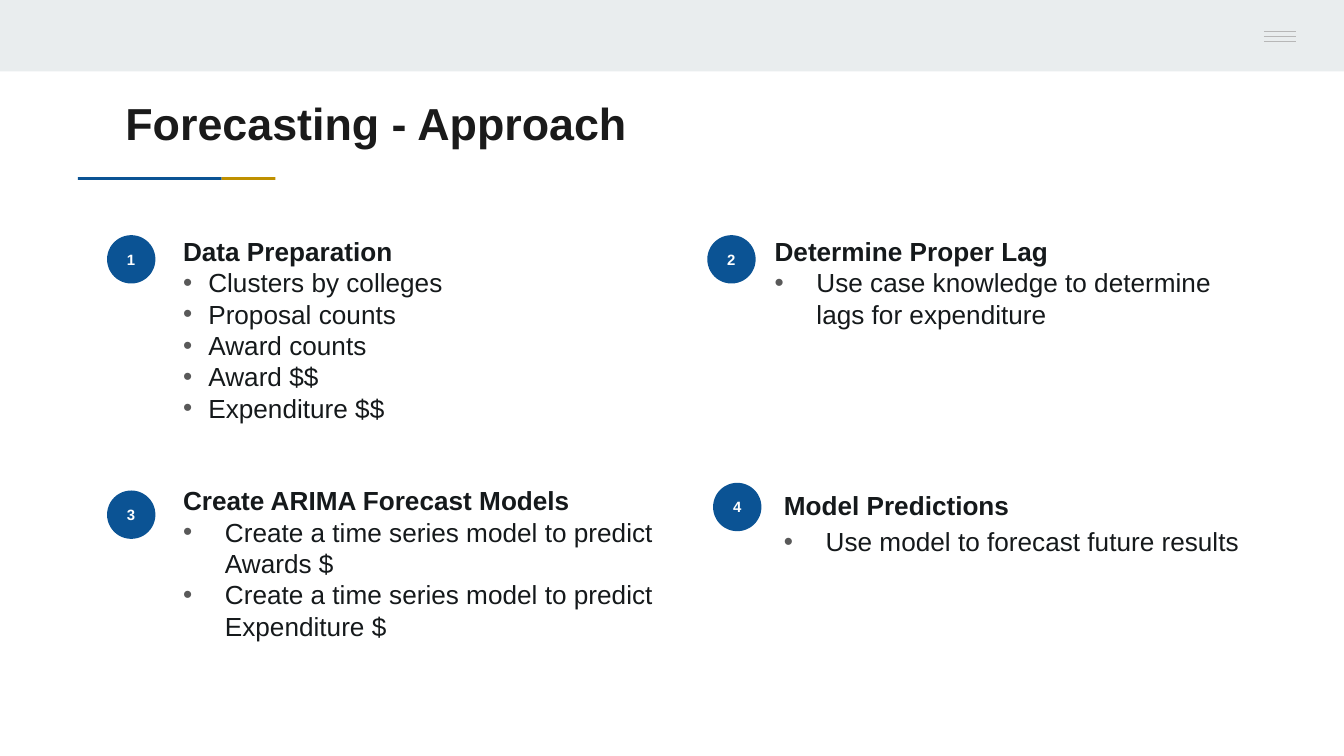
from dataclasses import dataclass

from lxml import etree
from pptx import Presentation
from pptx.dml.color import RGBColor
from pptx.enum.shapes import MSO_CONNECTOR, MSO_SHAPE
from pptx.enum.text import MSO_ANCHOR, MSO_AUTO_SIZE, PP_ALIGN
from pptx.oxml.ns import qn
from pptx.shapes.autoshape import Shape
from pptx.slide import Slide
from pptx.text.text import TextFrame, _Paragraph
from pptx.util import Inches, Pt

LINE = MSO_CONNECTOR.STRAIGHT
RECTANGLE, OVAL = MSO_SHAPE.RECTANGLE, MSO_SHAPE.OVAL
TOP, MIDDLE = MSO_ANCHOR.TOP, MSO_ANCHOR.MIDDLE
LEFT, CENTER = PP_ALIGN.LEFT, PP_ALIGN.CENTER
NO_FIT = MSO_AUTO_SIZE.NONE

WHITE = RGBColor(0xFF, 0xFF, 0xFF)
BAND = RGBColor(0xE9, 0xED, 0xEE)
MENU = RGBColor(0xB7, 0xB7, 0xB7)
BLUE = RGBColor(0x0B, 0x53, 0x94)
GOLD = RGBColor(0xBF, 0x90, 0x00)
INK = RGBColor(0x15, 0x19, 0x1B)
TITLE_INK = RGBColor(0x1A, 0x1A, 0x1A)
BULLET = RGBColor(0x59, 0x59, 0x59)

FONT = "Arial"
COMPARISON_LAYOUT = 4
SLIDE_WIDTH = Inches(10)
SLIDE_HEIGHT = SLIDE_WIDTH * 9 // 16
COLUMN = SLIDE_WIDTH / 100
ROW = SLIDE_HEIGHT / 56.25
BADGE_SIZE = 3.6


@dataclass(frozen=True)
class Area:
    column: float
    row: float
    columns: float
    rows: float

    def lengths(self) -> tuple[int, int, int, int]:
        return (round(self.column * COLUMN), round(self.row * ROW),
                round(self.columns * COLUMN), round(self.rows * ROW))


@dataclass(frozen=True)
class Step:
    badge_column: float
    badge_row: float
    area: Area
    heading: str
    bullets: tuple[str, ...]
    indent: float = 3.12
    line_spacing: float = 1.0


STEPS = (
    Step(7.97, 17.5, Area(12.62, 16.5, 35, 13.8), "Data Preparation",
         ("Clusters by colleges", "Proposal counts", "Award counts",
          "Award $$", "Expenditure $$"), indent=1.88),
    Step(52.63, 17.5, Area(56.63, 16.5, 38.3, 5.5), "Determine Proper Lag",
         ("Use case knowledge to determine lags for expenditure",)),
    Step(7.97, 36.5, Area(12.62, 35.05, 37.4, 16.2),
         "Create ARIMA Forecast Models",
         ("Create a time series model to predict Awards $",
          "Create a time series model to predict Expenditure $")),
    Step(53.06, 35.93, Area(57.32, 35.1, 37.2, 15.1), "Model Predictions",
         ("Use model to forecast future results",), line_spacing=1.15),
)


def place(box: Shape, area: Area) -> None:
    box.left, box.top, box.width, box.height = area.lengths()


def prepare_frame(frame: TextFrame, anchor: MSO_ANCHOR) -> None:
    frame.word_wrap = True
    frame.auto_size = NO_FIT
    frame.vertical_anchor = anchor
    frame.margin_left = frame.margin_right = Inches(0.1)
    frame.margin_top = frame.margin_bottom = Inches(0.1)


def add_span(para: _Paragraph, text: str, size: float, color: RGBColor,
             bold: bool) -> None:
    span = para.add_run()
    span.text = text
    span.font.name = FONT
    span.font.size = Pt(size)
    span.font.bold = bold
    span.font.color.rgb = color


def set_bullet(para: _Paragraph, indent: float) -> None:
    properties = para._p.get_or_add_pPr()
    properties.set("marL", str(round(indent * COLUMN)))
    properties.set("indent", str(-round(indent * COLUMN)))
    if not indent:
        etree.SubElement(properties, qn("a:buNone"))
        return
    color = etree.SubElement(properties, qn("a:buClr"))
    etree.SubElement(color, qn("a:srgbClr"), val=str(BULLET))
    etree.SubElement(properties, qn("a:buChar"), char="•")


def add_block(page: Slide, shape_type: MSO_SHAPE, area: Area,
              color: RGBColor) -> Shape:
    box = page.shapes.add_shape(shape_type, *area.lengths())
    box.shadow.inherit = False
    box.fill.solid()
    box.fill.fore_color.rgb = color
    box.line.fill.background()
    return box


def add_header(page: Slide) -> None:
    add_block(page, RECTANGLE, Area(0, 0, 100, 5.32), BAND)
    for row in (2.35, 2.72, 3.09):
        left, top, width, _ = Area(94.05, row, 2.4, 0).lengths()
        line = page.shapes.add_connector(LINE, left, top, left + width, top)
        line.line.color.rgb = MENU
        line.line.width = Pt(0.75)
        etree.SubElement(line._element.spPr, qn("a:effectLst"))
    add_block(page, RECTANGLE, Area(5.8, 13.18, 10.7, 0.2), BLUE)
    add_block(page, RECTANGLE, Area(16.5, 13.18, 4, 0.2), GOLD)


def fill_title(box: Shape, text: str) -> None:
    place(box, Area(8.33, 6.1, 84.1, 5.9))
    prepare_frame(box.text_frame, TOP)
    para = box.text_frame.paragraphs[0]
    para.alignment = LEFT
    add_span(para, text, 24, TITLE_INK, True)


def fill_step(box: Shape, step: Step) -> None:
    place(box, step.area)
    frame = box.text_frame
    prepare_frame(frame, TOP)
    for index, text in enumerate((step.heading, *step.bullets)):
        para = frame.add_paragraph() if index else frame.paragraphs[0]
        set_bullet(para, step.indent if index else 0)
        para.alignment = LEFT
        para.space_before = Pt(0)
        para.line_spacing = step.line_spacing
        add_span(para, text, 14, INK, index == 0)


def add_badge(page: Slide, step: Step, number: int) -> None:
    area = Area(step.badge_column, step.badge_row, BADGE_SIZE, BADGE_SIZE)
    badge = add_block(page, OVAL, area, BLUE)
    prepare_frame(badge.text_frame, MIDDLE)
    badge.text_frame.word_wrap = False
    para = badge.text_frame.paragraphs[0]
    para.alignment = CENTER
    add_span(para, str(number), 8, WHITE, True)


def main() -> None:
    deck = Presentation()
    deck.slide_width, deck.slide_height = SLIDE_WIDTH, SLIDE_HEIGHT
    page = deck.slides.add_slide(deck.slide_layouts[COMPARISON_LAYOUT])
    title, *bodies = page.placeholders
    add_header(page)
    fill_title(title, "Forecasting - Approach")
    for number, (body, step) in enumerate(zip(bodies, STEPS), start=1):
        fill_step(body, step)
        add_badge(page, step, number)
    deck.save("out.pptx")


if __name__ == "__main__":
    main()
